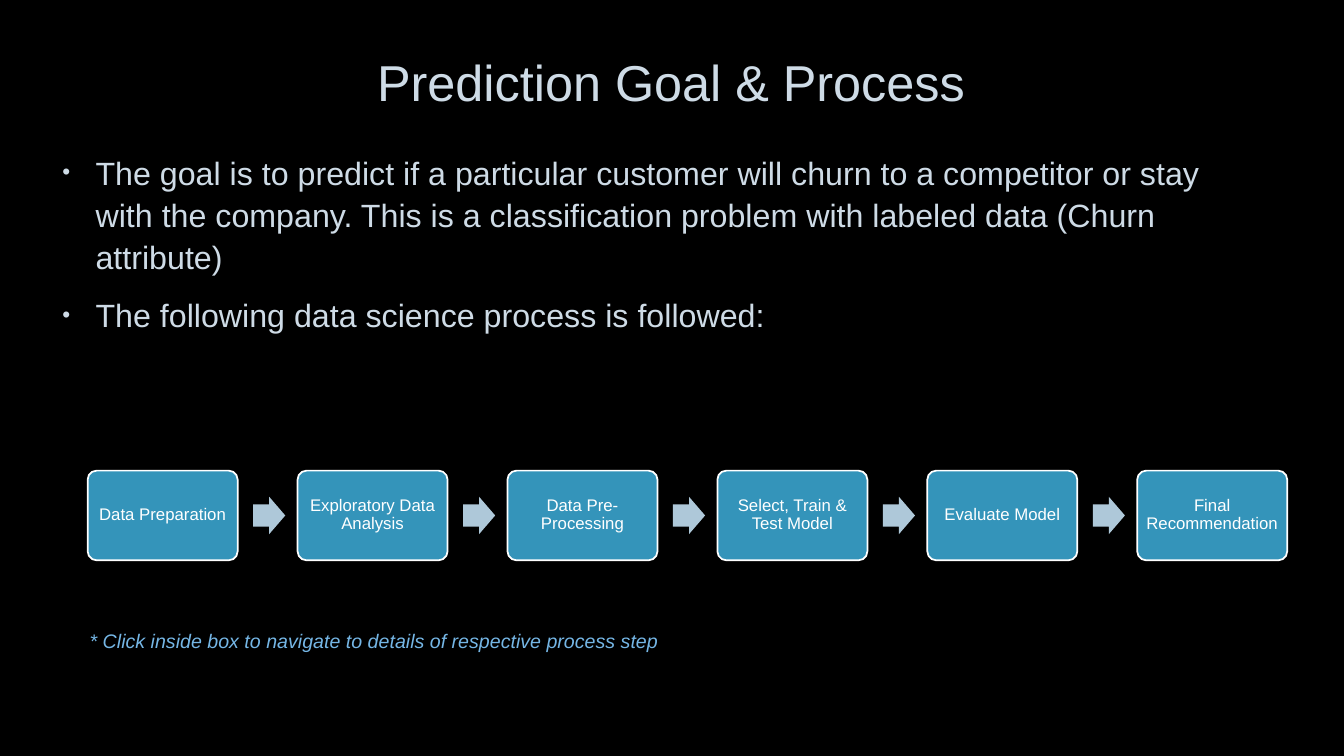
from lxml import etree
from pptx import Presentation
from pptx.dml.color import RGBColor
from pptx.enum.shapes import MSO_SHAPE
from pptx.enum.text import MSO_ANCHOR, MSO_AUTO_SIZE, PP_ALIGN
from pptx.oxml.ns import qn
from pptx.util import Cm, Pt

ROUNDED, ARROW = MSO_SHAPE.ROUNDED_RECTANGLE, MSO_SHAPE.RIGHT_ARROW
MIDDLE, NO_FIT = MSO_ANCHOR.MIDDLE, MSO_AUTO_SIZE.NONE
LEFT, CENTER = PP_ALIGN.LEFT, PP_ALIGN.CENTER

FONT = "Arial"
COLORS = {
    "background": "000000",
    "text": "CEDBE6",
    "box": "3494BA",
    "arrow": "AEC8D9",
    "white": "FFFFFF",
    "note": "75B6E5",
}
GOALS = [
    "The goal is to predict if a particular customer will churn to a competitor or stay "
    "with the company. This is a classification problem with labeled data (Churn attribute)",
    "The following data science process is followed:",
]
STEPS = [
    "Data Preparation",
    "Exploratory Data Analysis",
    "Data Pre-Processing",
    "Select, Train & Test Model",
    "Evaluate Model",
    "Final Recommendation",
]
STEP_LEFT, STEP_TOP, STEP_PITCH = 2.21, 11.86, 5.29
STEP_W, STEP_H = 3.78, 2.26
ARROW_W, ARROW_H, ARROW_OFFSET = 0.81, 0.94, 4.17


def rgb(name):
    return RGBColor.from_string(COLORS[name])


def write(p, text, size, color="text", align=LEFT, spacing=1.0, before=0, after=0, italic=False):
    p.alignment, p.line_spacing = align, spacing
    p.space_before, p.space_after = Pt(before), Pt(after)
    r = p.add_run()
    r.text = text
    r.font.name, r.font.size, r.font.italic = FONT, Pt(size), italic
    r.font.color.rgb = rgb(color)


def add_bullet(p):
    pPr = p._p.get_or_add_pPr()
    pPr.set("marL", str(Cm(0.97)))
    pPr.set("indent", str(Cm(-0.84)))
    color = etree.SubElement(pPr, qn("a:buClr"))
    etree.SubElement(color, qn("a:srgbClr"), val=COLORS["text"])
    etree.SubElement(pPr, qn("a:buSzPct"), val="70000")
    etree.SubElement(pPr, qn("a:buFont"), typeface=FONT)
    etree.SubElement(pPr, qn("a:buChar"), char="•")


class SlideBuilder:
    """Hold the slide style and add each kind of element to the current slide."""

    def __init__(self, prs):
        self.s = prs.slides.add_slide(prs.slide_layouts[5])
        fill = self.s.background.fill
        fill.solid()
        fill.fore_color.rgb = rgb("background")

    def title(self, text, left, top, width, height):
        sp = self.s.shapes.title
        sp.left, sp.top, sp.width, sp.height = Cm(left), Cm(top), Cm(width), Cm(height)
        tf = sp.text_frame
        tf.auto_size, tf.vertical_anchor = NO_FIT, MIDDLE
        write(tf.paragraphs[0], text, 36, align=CENTER, spacing=0.9)

    def textbox(self, left, top, width, height, wrap=True):
        sp = self.s.shapes.add_textbox(Cm(left), Cm(top), Cm(width), Cm(height))
        sp.text_frame.word_wrap = wrap
        return sp.text_frame

    def bullets(self, items, left, top, width, height):
        tf = self.textbox(left, top, width, height)
        for i, item in enumerate(items):
            p = tf.add_paragraph() if i else tf.paragraphs[0]
            write(p, item, 23, spacing=1.1, before=4.6, after=6)
            add_bullet(p)

    def note(self, text, left, top, width, height):
        tf = self.textbox(left, top, width, height, wrap=False)
        write(tf.paragraphs[0], text, 14, color="note", italic=True)

    def shape(self, kind, left, top, width, height, fill, adjustments):
        sp = self.s.shapes.add_shape(kind, Cm(left), Cm(top), Cm(width), Cm(height))
        sp.shadow.inherit = False
        sp.fill.solid()
        sp.fill.fore_color.rgb = rgb(fill)
        sp.line.fill.background()
        for i, value in enumerate(adjustments):
            sp.adjustments[i] = value
        return sp

    def step(self, text, left):
        sp = self.shape(ROUNDED, left, STEP_TOP, STEP_W, STEP_H, "box", [0.1])
        sp.line.color.rgb = rgb("white")
        sp.line.width = Pt(1.25)
        tf = sp.text_frame
        tf.word_wrap, tf.vertical_anchor = True, MIDDLE
        tf.margin_left = tf.margin_right = tf.margin_top = tf.margin_bottom = Cm(0.12)
        write(tf.paragraphs[0], text, 12, color="white", align=CENTER, spacing=0.9)

    def arrow(self, left):
        top = STEP_TOP + (STEP_H - ARROW_H) / 2
        self.shape(ARROW, left, top, ARROW_W, ARROW_H, "arrow", [0.6, 0.5])


def main():
    prs = Presentation()
    prs.slide_width, prs.slide_height = Cm(33.87), Cm(19.05)
    slide = SlideBuilder(prs)
    slide.title("Prediction Goal & Process", 2.54, 0.38, 28.75, 3.51)
    slide.bullets(GOALS, 1.19, 3.63, 30.91, 5.41)
    for i, step in enumerate(STEPS):
        left = STEP_LEFT + i * STEP_PITCH
        slide.step(step, left)
        if i < len(STEPS) - 1:
            slide.arrow(left + ARROW_OFFSET)
    slide.note("* Click inside box to navigate to details of respective process step",
               2.01, 15.72, 15.01, 0.86)
    prs.save("out.pptx")


if __name__ == "__main__":
    main()
